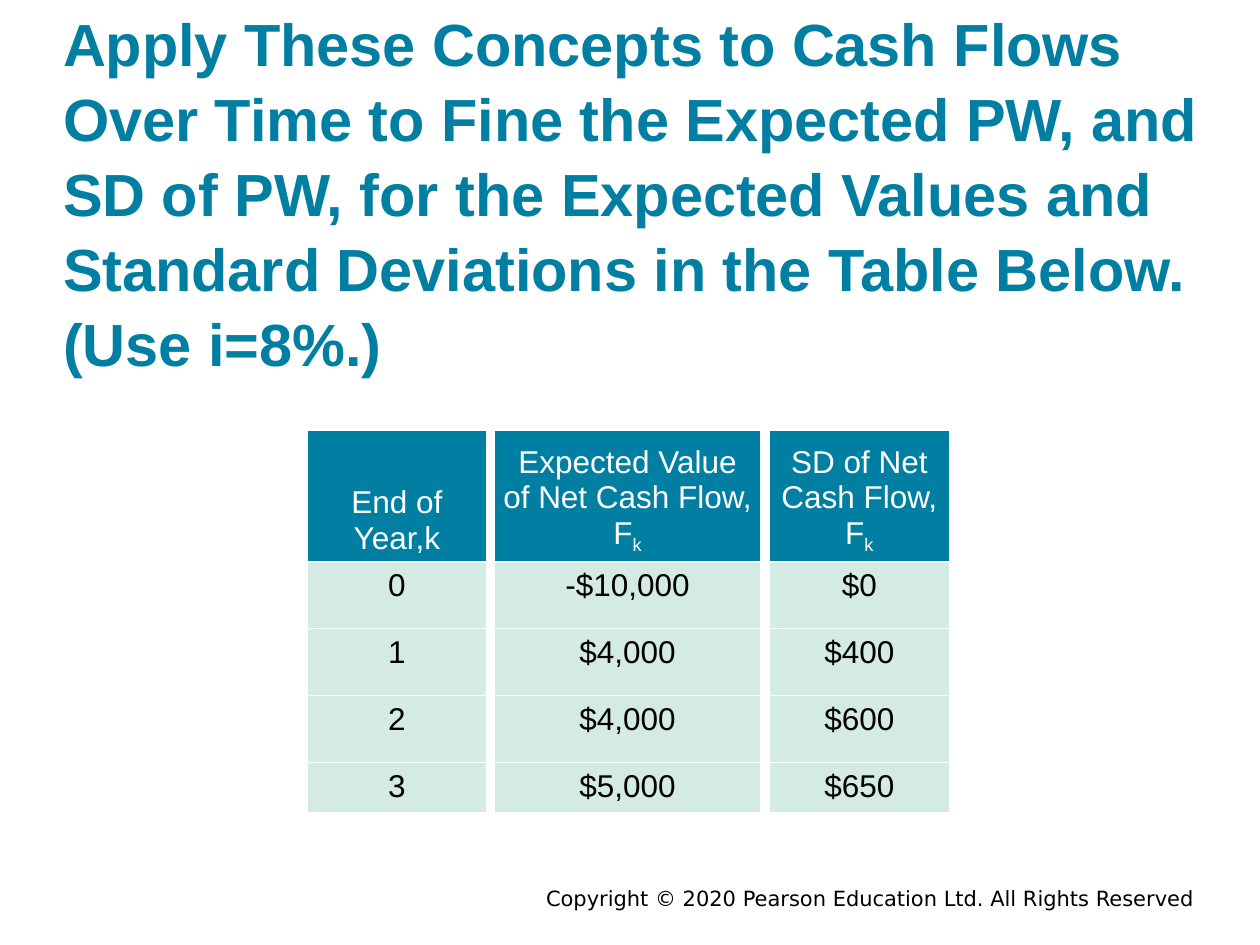
from lxml import etree
from pptx import Presentation
from pptx.dml.color import RGBColor
from pptx.enum import text
from pptx.oxml import ns
from pptx.util import Pt

# Content
TITLE = ("Apply These Concepts to Cash Flows Over Time to Fine the Expected PW, "
         "and SD of PW, for the Expected Values and Standard Deviations in the "
         "Table Below. (Use i=8%.)")
HEADERS = [("End of Year,k", ""),
           ("Expected Value of Net Cash Flow, F", "k"),
           ("SD of Net Cash Flow, F", "k")]
FLOWS = [("0", "-$10,000", "$0"),
         ("1", "$4,000", "$400"),
         ("2", "$4,000", "$600"),
         ("3", "$5,000", "$650")]
COPYRIGHT = "Copyright © 2020 Pearson Education Ltd. All Rights Reserved"

# Layout in points, and colours
TITLE_BOX = (36, 10, 653.8, 206)
TABLE_AT = (173.5, 246.2)
COLUMNS = (106.6, 157, 108)
ROWS = (56.2, 38.2, 38.2, 38.2, 25.2)
FOOTER_BOX = (204.5, 506.2, 478, 21.6)
TEAL, MINT, WHITE, BLACK = "007FA3", "D4EAE4", "FFFFFF", "000000"
BORDERS = {"lnL": 6, "lnR": 6, "lnT": 0.75, "lnB": 0.75}


def color(value):
    return RGBColor.from_string(value)


def add_run(p, words, size, fill, name="Arial", bold=False):
    r = p.add_run()
    r.text = words
    for key, value in dict(size=Pt(size), name=name, bold=bold).items():
        setattr(r.font, key, value)
    r.font.color.rgb = color(fill)
    return r


def format_frame(tf, **extra):
    values = dict(margin_left=0, margin_top=0, margin_right=0, margin_bottom=0,
                  word_wrap=True)
    for key, value in {**values, **extra}.items():
        setattr(tf, key, value)
    return tf.paragraphs[0]


def add_borders(cell):
    tcPr = cell._tc.get_or_add_tcPr()
    for side, width in BORDERS.items():
        ln = etree.SubElement(tcPr, ns.qn("a:" + side), w=str(Pt(width)))
        solid = etree.SubElement(ln, ns.qn("a:solidFill"))
        etree.SubElement(solid, ns.qn("a:srgbClr"), val=WHITE)


def fill_cell(cell, words, subscript, fill, ink, anchor):
    add_borders(cell)
    cell.fill.solid()
    cell.fill.fore_color.rgb = color(fill)
    cell.vertical_anchor = anchor
    p = cell.text_frame.paragraphs[0]
    p.alignment = text.PP_ALIGN.CENTER
    add_run(p, words, 18, ink)
    if subscript:
        r = add_run(p, subscript, 18, ink)
        r._r.get_or_add_rPr().set("baseline", "-25000")


prs = Presentation()
prs.slide_width, prs.slide_height = Pt(720), Pt(540)
s = prs.slides.add_slide(prs.slide_layouts[5])

# Title
title = s.shapes.title
title.left, title.top, title.width, title.height = map(Pt, TITLE_BOX)
p = format_frame(title.text_frame, vertical_anchor=text.MSO_ANCHOR.BOTTOM,
                 auto_size=text.MSO_AUTO_SIZE.SHAPE_TO_FIT_TEXT)
p.alignment = text.PP_ALIGN.LEFT
p.line_spacing = 1.05
add_run(p, TITLE, 34, TEAL, bold=True)

# Cash flow table
table = s.shapes.add_table(len(ROWS), len(COLUMNS), *map(Pt, TABLE_AT),
                           Pt(sum(COLUMNS)), Pt(sum(ROWS))).table
table.horz_banding = False
for column, width in zip(table.columns, COLUMNS):
    column.width = Pt(width)
for row, height in zip(table.rows, ROWS):
    row.height = Pt(height)
for c, (words, subscript) in enumerate(HEADERS):
    fill_cell(table.cell(0, c), words, subscript, TEAL, WHITE,
              text.MSO_ANCHOR.BOTTOM)
for i, flow in enumerate(FLOWS, 1):
    for c, words in enumerate(flow):
        fill_cell(table.cell(i, c), words, "", MINT, BLACK, text.MSO_ANCHOR.TOP)

# Copyright line
footer = s.shapes.add_textbox(*map(Pt, FOOTER_BOX))
p = format_frame(footer.text_frame)
p.alignment = text.PP_ALIGN.RIGHT
add_run(p, COPYRIGHT, 12, BLACK, name="DejaVu Sans")

prs.save("out.pptx")
